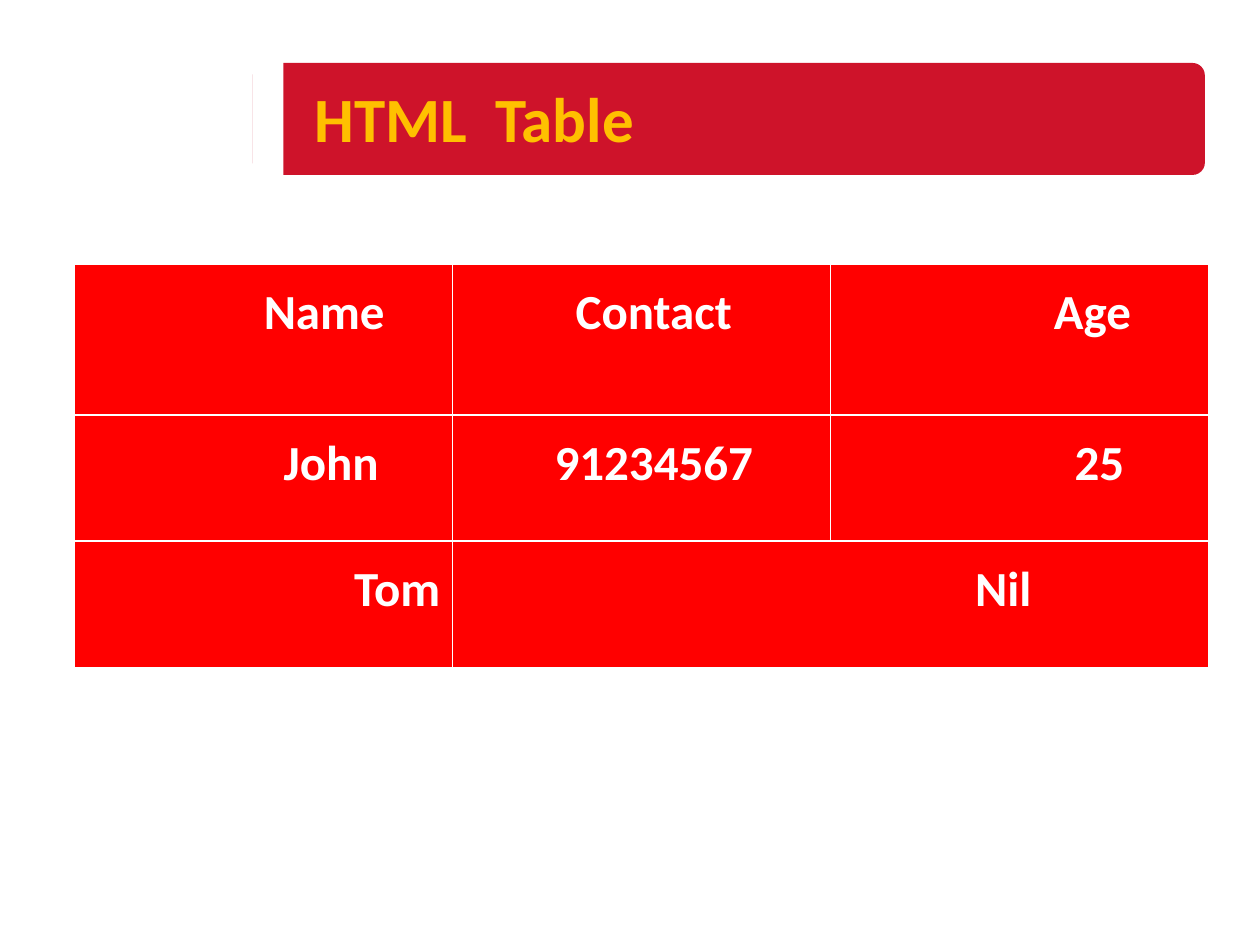
from lxml.etree import SubElement
from pptx import Presentation
from pptx.dml.color import RGBColor
from pptx.enum.shapes import MSO_SHAPE
from pptx.enum.text import MSO_ANCHOR, PP_ALIGN
from pptx.oxml.ns import qn
from pptx.util import Pt

COLORS = {"banner": "CE132A", "title": "FFC000", "cell": "FF0000", "white": "FFFFFF"}
TITLE_FONT = {"name": "Calibri", "size": Pt(36), "bold": True}
CELL_FONT = {"name": "Calibri", "size": Pt(28), "bold": True}
ROW_HEIGHTS = [86, 72, 72]
THIN, THICK = 0.45, 1.47
CELLS = [
    [("Name", PP_ALIGN.CENTER, 69), ("Contact", PP_ALIGN.LEFT, 63), ("Age", PP_ALIGN.CENTER, 83)],
    [("John", PP_ALIGN.CENTER, 77), ("91234567", PP_ALIGN.LEFT, 51), ("25", PP_ALIGN.CENTER, 91)],
    [("Tom", PP_ALIGN.RIGHT, 0), ("Nil", PP_ALIGN.CENTER, 197)],
]


def color(name):
    return RGBColor.from_string(COLORS[name])


def write(para, text, formats, color_name):
    span = para.add_run()
    span.text = text
    for key, value in formats.items():
        setattr(span.font, key, value)
    span.font.color.rgb = color(color_name)


def add_block(page, kind, box, color_name):
    block = page.shapes.add_shape(kind, *(Pt(length) for length in box))
    block.shadow.inherit = False
    block.fill.solid()
    block.fill.fore_color.rgb = color(color_name)
    block.line.fill.background()
    return block


def add_banner(page, left, top, width, height):
    banner = add_block(page, MSO_SHAPE.ROUNDED_RECTANGLE,
                       (left, top + 1.5, width, height - 1.5), "banner")
    banner.adjustments[0] = 0.11
    add_block(page, MSO_SHAPE.RECTANGLE, (left, top, 17.5, height), "white")

    title = page.shapes.title
    page.shapes._spTree.append(title._element)
    title.left, title.top = Pt(left + 28), Pt(top)
    title.width, title.height = Pt(width - 33), Pt(height)
    title.text_frame.vertical_anchor = MSO_ANCHOR.MIDDLE
    para = title.text_frame.paragraphs[0]
    para.alignment = PP_ALIGN.LEFT
    write(para, "HTML  Table", TITLE_FONT, "title")


def set_borders(cell, widths):
    properties = cell._tc.get_or_add_tcPr()
    for index, (side, width) in enumerate(widths.items()):
        line = properties.makeelement(qn(f"a:{side}"), {"w": str(Pt(width))})
        fill = SubElement(line, qn("a:solidFill"))
        SubElement(fill, qn("a:srgbClr"), val=COLORS["white"])
        properties.insert(index, line)


def add_contacts(page, left, top, width):
    table = page.shapes.add_table(3, 3, Pt(left), Pt(top), Pt(width),
                                  Pt(sum(ROW_HEIGHTS))).table
    for column in table.columns:
        column.width = Pt(width / 3)
    for row, height in zip(table.rows, ROW_HEIGHTS):
        row.height = Pt(height)
    table.cell(2, 1).merge(table.cell(2, 2))

    for row_index in range(3):
        widths = {"lnL": THIN, "lnR": THIN,
                  "lnT": THICK if row_index > 0 else THIN,
                  "lnB": THICK if row_index < 2 else THIN}
        for column_index in range(3):
            cell = table.cell(row_index, column_index)
            cell.fill.solid()
            cell.fill.fore_color.rgb = color("cell")
            set_borders(cell, widths)
        for column_index, (text, alignment, indent) in enumerate(CELLS[row_index]):
            cell = table.cell(row_index, column_index)
            cell.margin_top = Pt(5.6)
            para = cell.text_frame.paragraphs[0]
            para.alignment = alignment
            para.line_spacing = 1.15
            para._p.get_or_add_pPr().set("marL", str(Pt(indent)))
            para._p.get_or_add_pPr().set("indent", "0")
            write(para, text, CELL_FONT, "white")


def main():
    deck = Presentation()
    deck.slide_width, deck.slide_height = Pt(720), Pt(540)
    page = deck.slides.add_slide(deck.slide_layouts[5])
    add_banner(page, 144.5, 34.5, 544, 65.5)
    add_contacts(page, 42.75, 151.2, 648)
    deck.save("out.pptx")


if __name__ == "__main__":
    main()
